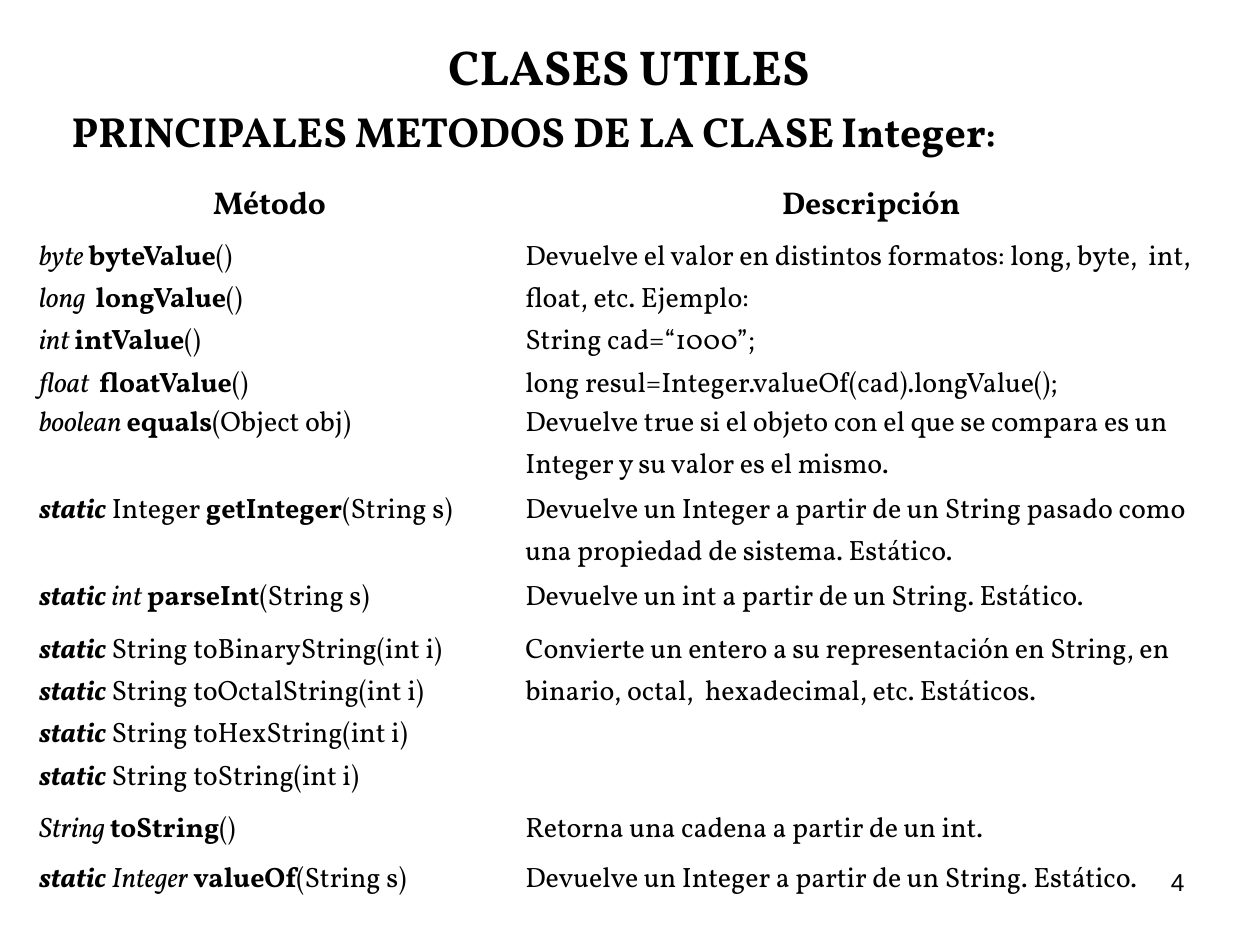
from lxml.etree import SubElement
from pptx import Presentation
from pptx.dml.color import RGBColor
from pptx.enum.text import MSO_ANCHOR, PP_ALIGN
from pptx.oxml.ns import qn
from pptx.util import Inches, Pt

COLORS = {"text": "000000"}
SERIF = "Vollkorn"


def add_span(para, text, size, style="", font=SERIF):
    """Add one run; style holds b for bold and i for italic."""
    span = para.add_run()
    span.text = text
    span.font.name = font
    span.font.size = Pt(size)
    span.font.bold = "b" in style
    span.font.italic = "i" in style
    span.font.color.rgb = RGBColor.from_string(COLORS["text"])


deck = Presentation()
deck.slide_width, deck.slide_height = Inches(10), Inches(7.5)
page = deck.slides.add_slide(deck.slide_layouts[5])

title = page.shapes.title
title.left, title.top = Inches(0.74), Inches(0.24)
title.width, title.height = Inches(8.5), Inches(0.57)
frame = title.text_frame
frame.margin_left = frame.margin_right = frame.margin_top = frame.margin_bottom = 0
frame.vertical_anchor = MSO_ANCHOR.MIDDLE
frame.paragraphs[0].alignment = PP_ALIGN.CENTER
add_span(frame.paragraphs[0], "CLASES UTILES", 28, "b")

subtitle = page.shapes.add_textbox(Inches(0.47), Inches(0.79), Inches(9), Inches(0.5))
subtitle.text_frame.word_wrap = True
for text, size in [("PRINCIPALES METODOS DE LA CLASE", 24), (" ", 20), ("Integer", 24), (":", 20)]:
    add_span(subtitle.text_frame.paragraphs[0], text, size, "b")

number = page.shapes.add_textbox(Inches(7.17), Inches(6.83), Inches(2.33), Inches(0.52))
number.text_frame.word_wrap = True
number.text_frame.paragraphs[0].alignment = PP_ALIGN.RIGHT
add_span(number.text_frame.paragraphs[0], "4", 14, font="Arial")

# Each row: height, method paragraphs as (text, style) runs, description paragraphs
methods = [
    (1.32,
     [[("byte ", "i"), ("byteValue", "b"), ("()", "")],
      [("long  ", "i"), ("longValue", "b"), ("()", "")],
      [("int ", "i"), ("intValue", "b"), ("()", "")],
      [("float  ", "i"), ("floatValue", "b"), ("()", "")]],
     ["Devuelve el valor en distintos formatos: long, byte,  int,  float, etc. Ejemplo:",
      "String cad=“1000”;",
      "long resul=Integer.valueOf(cad).longValue();"]),
    (0.69,
     [[("boolean ", "i"), ("equals", "b"), ("(Object obj)", "")]],
     ["Devuelve true si el objeto con el que se compara es un Integer y su valor es el mismo."]),
    (0.69,
     [[("static", "bi"), (" Integer ", ""), ("getInteger", "b"), ("(String s)", "")]],
     ["Devuelve un Integer a partir de un String pasado como una propiedad de sistema. Estático."]),
    (0.42,
     [[("static ", "bi"), ("int ", "i"), ("parseInt", "b"), ("(String s)", "")]],
     ["Devuelve un int a partir de un String. Estático."]),
    (1.42,
     [[("static ", "bi"), (f"String {name}(int i)", "")]
      for name in ("toBinaryString", "toOctalString", "toHexString", "toString")],
     ["Convierte un entero a su representación en String, en binario, octal,  hexadecimal, etc. Estáticos."]),
    (0.4,
     [[("String ", "i"), ("toString", "b"), ("()", "")]],
     ["Retorna una cadena a partir de un int."]),
    (0.55,
     [[("static ", "bi"), ("Integer ", "i"), ("valueOf", "b"), ("(String s)", "")]],
     ["Devuelve un Integer a partir de un String. Estático."]),
]
rows = [(0.43, [[("Método", "b")]], [[("Descripción", "b")]])]
rows += [(height, method, [[(text, "")] for text in description])
         for height, method, description in methods]

table = page.shapes.add_table(len(rows), 2, Inches(0.21), Inches(1.39),
                              Inches(9.55), Inches(5.92)).table
table.first_row = table.horz_banding = False
table.columns[0].width, table.columns[1].width = Inches(3.86), Inches(5.69)

for row_index, (height, *cells) in enumerate(rows):
    table.rows[row_index].height = Inches(height)
    for column_index, paragraphs in enumerate(cells):
        cell = table.cell(row_index, column_index)
        # Borders come before the fill in the cell properties
        properties = cell._tc.get_or_add_tcPr()
        for side in ("a:lnL", "a:lnR", "a:lnT", "a:lnB"):
            SubElement(SubElement(properties, qn(side), w="0"), qn("a:noFill"))
        cell.fill.background()
        for index, spans in enumerate(paragraphs):
            para = cell.text_frame.paragraphs[0] if index == 0 else cell.text_frame.add_paragraph()
            para.alignment = PP_ALIGN.LEFT if row_index else PP_ALIGN.CENTER
            para.line_spacing = 1.08
            for text, style in spans:
                add_span(para, text, 16 if row_index else 18, style)

deck.save("out.pptx")
